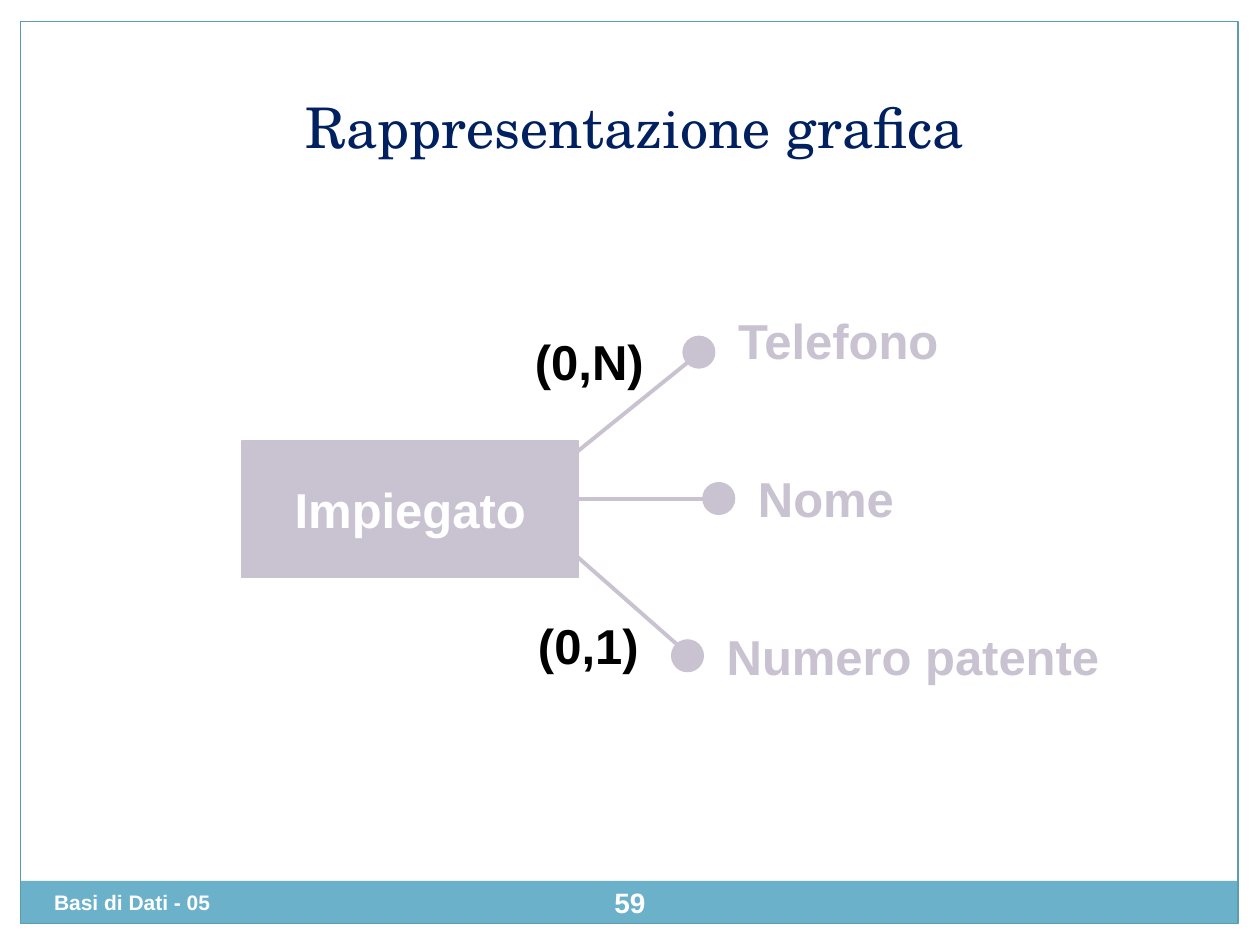
from lxml import etree
from pptx import Presentation
from pptx.dml.color import RGBColor
from pptx.enum import shapes, text
from pptx.oxml.ns import qn
from pptx.util import Cm, Pt

WHITE = RGBColor(0xFF, 0xFF, 0xFF)
BLACK = RGBColor(0, 0, 0)
NAVY = RGBColor(0x00, 0x20, 0x60)
TEAL = RGBColor(0x6B, 0xB1, 0xC9)
FRAME = RGBColor(0x5D, 0x9B, 0xB1)
LILAC = RGBColor(0xC9, 0xC2, 0xD1)
SANS, SERIF = "Arial", "TeX Gyre Schola"
LEFT, CENTER = text.PP_ALIGN.LEFT, text.PP_ALIGN.CENTER
TOP, MIDDLE = text.MSO_ANCHOR.TOP, text.MSO_ANCHOR.MIDDLE
RECT, OVAL = shapes.MSO_SHAPE.RECTANGLE, shapes.MSO_SHAPE.OVAL

ENTITY_W, ENTITY_H = 6.78, 2.75
DOT = 0.64
LABEL_H = 1.45


def add_shape(s, kind, x, y, w, h, fill=None, line=None):
    sp = s.shapes.add_shape(kind, Cm(x), Cm(y), Cm(w), Cm(h))
    sp.shadow.inherit = False
    if fill is None:
        sp.fill.background()
    else:
        sp.fill.solid()
        sp.fill.fore_color.rgb = fill
    if line is None:
        sp.line.fill.background()
    else:
        sp.line.color.rgb = line
        sp.line.width = Pt(0.75)
    return sp


def set_text(sp, words, size, color, font=SANS, bold=True, align=LEFT,
             anchor=TOP, wrap=True):
    tf = sp.text_frame
    tf.word_wrap = wrap
    tf.vertical_anchor = anchor
    p = tf.paragraphs[0]
    p.alignment = align
    r = p.add_run()
    r.text = words
    r.font.size, r.font.name, r.font.bold = Pt(size), font, bold
    r.font.color.rgb = color


def add_text(s, x, y, w, h, words, size, color, **style):
    sp = s.shapes.add_textbox(Cm(x), Cm(y), Cm(w), Cm(h))
    set_text(sp, words, size, color, **style)
    return sp


def add_label(s, x, y, w, words, color, **style):
    # One-line label whose box grows with its text
    sp = add_text(s, x, y, w, LABEL_H, words, 28, color, wrap=False, **style)
    sp.text_frame.auto_size = text.MSO_AUTO_SIZE.SHAPE_TO_FIT_TEXT


def add_line(s, x1, y1, x2, y2):
    ln = s.shapes.add_connector(shapes.MSO_CONNECTOR.STRAIGHT,
                                Cm(x1), Cm(y1), Cm(x2), Cm(y2))
    ln.line.color.rgb = LILAC
    ln.line.width = Pt(2.25)
    etree.SubElement(ln._element.spPr, qn("a:effectLst"))


def add_frame(s, x, y, w, h):
    # Footer band, page border, footer text and page number
    band_h = 0.86
    band_y = y + h - band_h
    add_shape(s, RECT, x, band_y, w, band_h, fill=TEAL)
    add_shape(s, RECT, x, y, w, h, line=FRAME)
    add_text(s, x + 0.42, band_y + 0.05, 9.96, 1.02, "Basi di Dati - 05", 12, WHITE)
    number = add_text(s, x + 11.43, band_y - 0.18, 1.7, 1.22, "59", 16, WHITE,
                      align=CENTER, anchor=MIDDLE)
    number.text_frame.margin_left = number.text_frame.margin_right = Cm(0.13)


def add_title(s, x, y, w, h):
    add_text(s, x, y, w, h, "Rappresentazione grafica", 32, NAVY, font=SERIF,
             bold=False, align=CENTER, anchor=MIDDLE)


def add_diagram(s, x, y):
    # Entity
    entity = add_shape(s, RECT, x, y + 2.75, ENTITY_W, ENTITY_H, LILAC, LILAC)
    set_text(entity, "Impiegato", 28, WHITE, align=CENTER, anchor=MIDDLE, wrap=False)

    # Attributes: name, label width and top, dot corner, line start and end
    attributes = [
        ("Telefono", 4.65, 0, (8.89, 0.64), (6.65, 3.05), (9.04, 1.12)),
        ("Nome", 3.3, 3.18, (9.29, 3.59), (6.75, 3.92), (9.57, 3.92)),
        ("Numero patente", 8.1, 6.36, (8.66, 6.76), (6.65, 4.99), (8.96, 7.02)),
    ]
    for name, w, top, (dx, dy), (x1, y1), (x2, y2) in attributes:
        add_line(s, x + x1, y + y1, x + x2, y + y2)
        add_shape(s, OVAL, x + dx, y + dy, DOT, DOT, LILAC, LILAC)
        add_label(s, x + dx + 0.86, y + top, w, name, LILAC)

    # Cardinalities
    for words, cx, cy, w in [("(0,N)", 5.6, 0.41, 2.8), ("(0,1)", 5.68, 6.13, 2.6)]:
        add_label(s, x + cx, y + cy, w, words, BLACK, align=CENTER, anchor=MIDDLE)


def main():
    prs = Presentation()
    prs.slide_width, prs.slide_height = Cm(25.4), Cm(19.05)
    s = prs.slides.add_slide(prs.slide_layouts[6])
    add_frame(s, 0.42, 0.43, 24.54, 18.19)
    add_title(s, 1.27, 1.06, 23.06, 2.97)
    add_diagram(s, 4.88, 6.14)
    prs.save("out.pptx")


if __name__ == "__main__":
    main()
